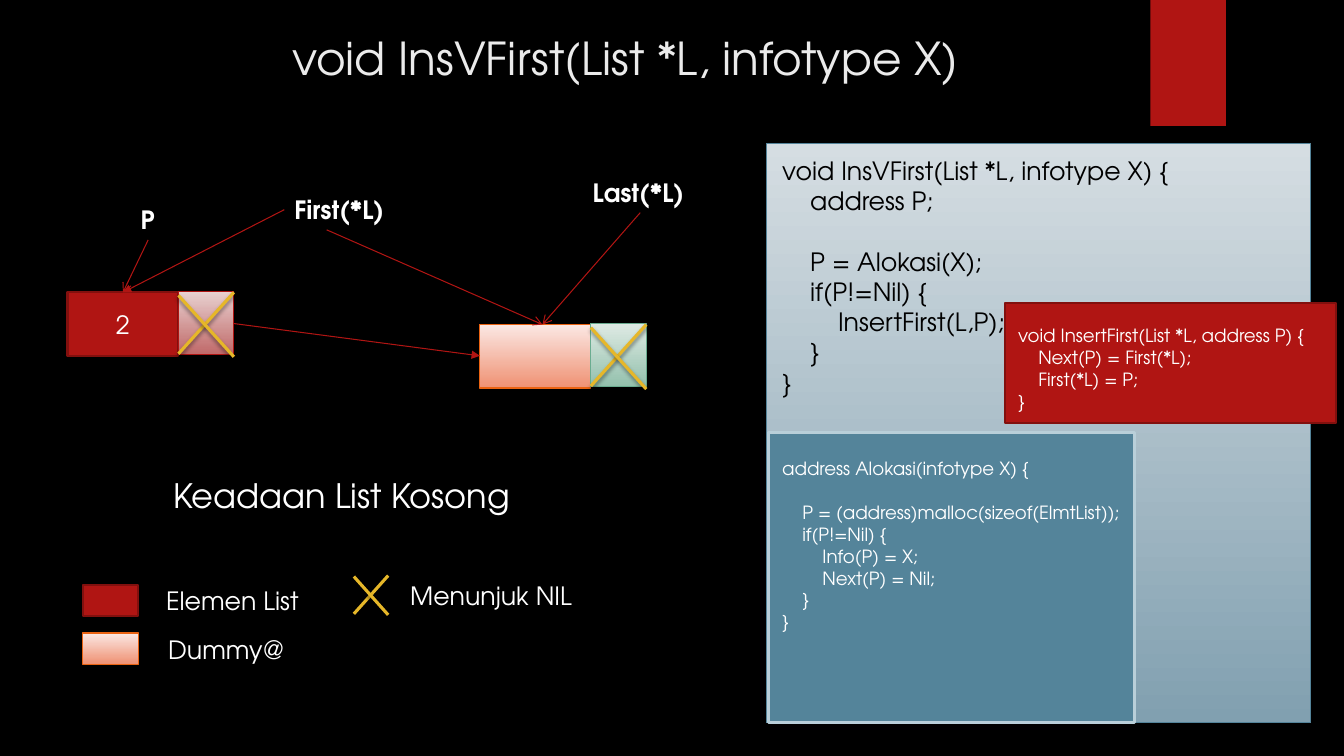
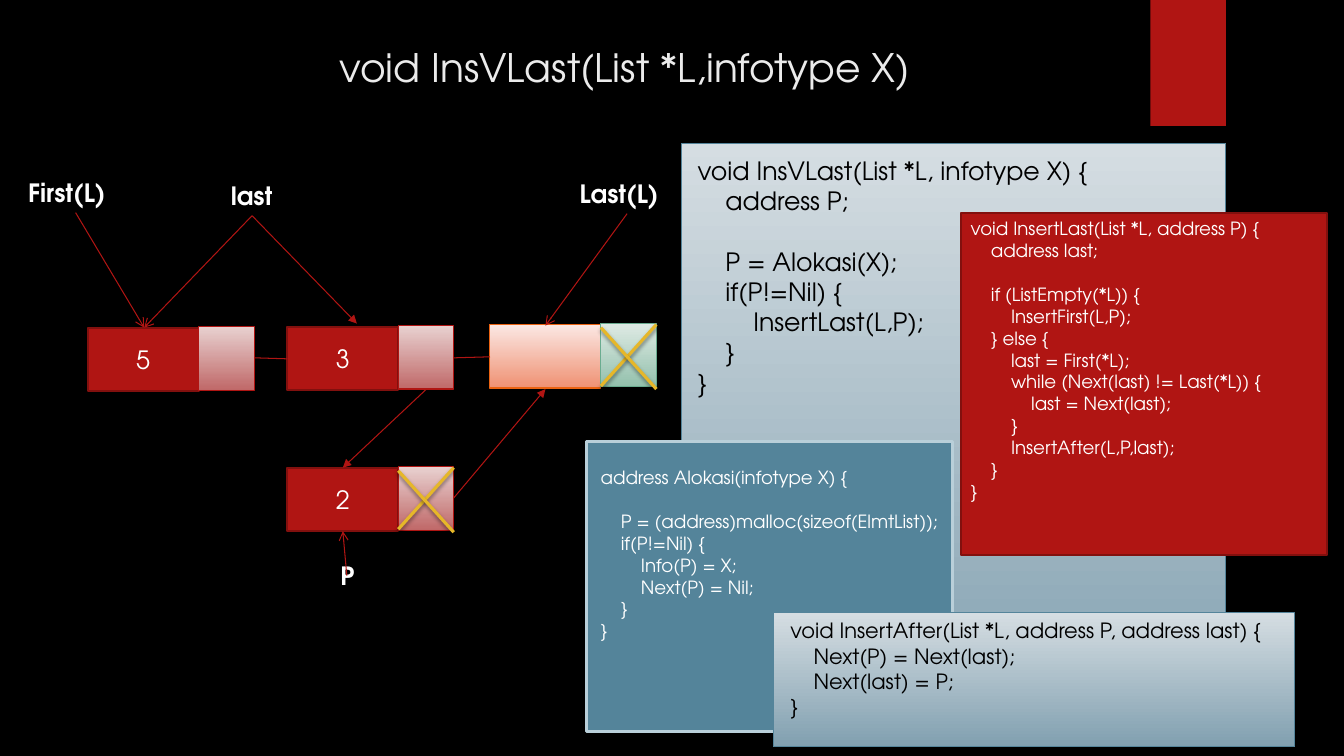
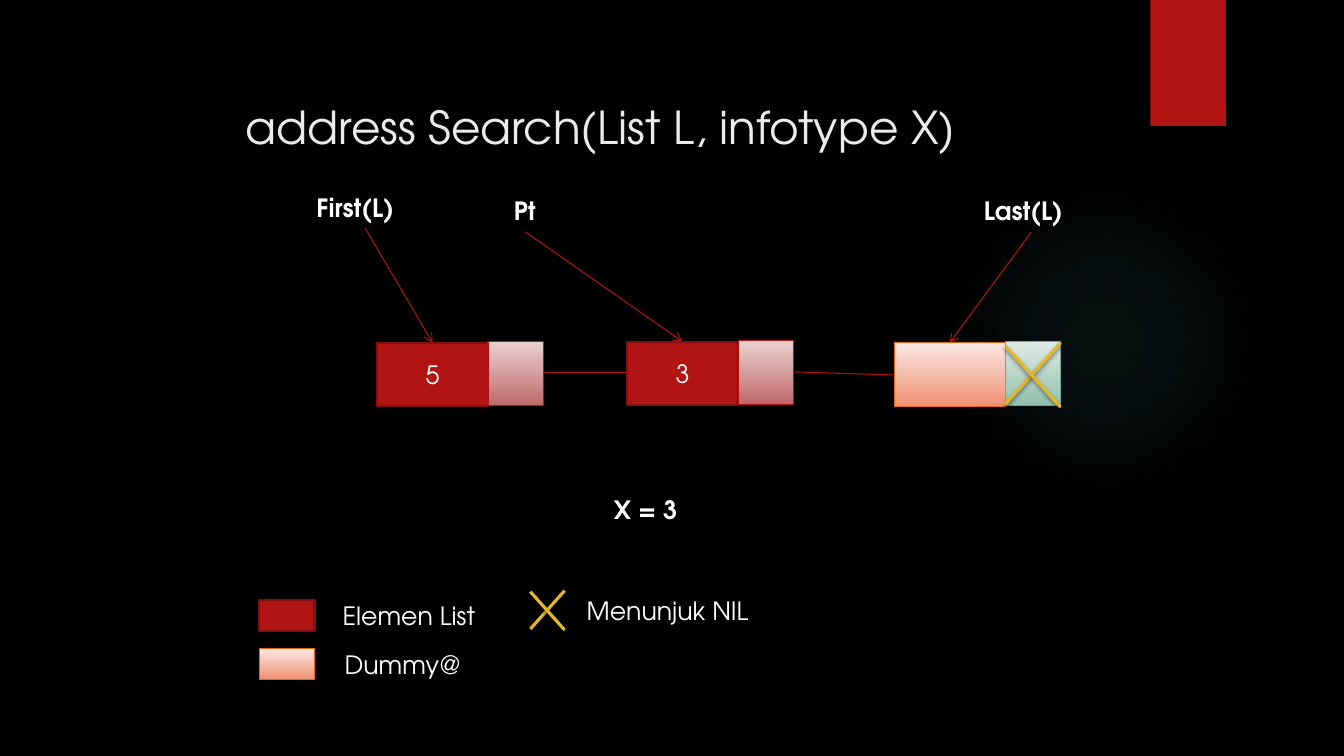
from lxml.etree import SubElement
from pptx import Presentation
from pptx.dml.color import RGBColor
from pptx.enum.shapes import MSO_CONNECTOR, MSO_SHAPE
from pptx.enum.text import MSO_ANCHOR, MSO_AUTO_SIZE, PP_ALIGN
from pptx.oxml import parse_xml
from pptx.oxml.ns import nsdecls, qn
from pptx.util import Emu, Pt

PX = 9144
FONT = "TeX Gyre Adventor"
WHITE, BLACK, TITLE, RED, GOLD = "FFFFFF", "000000", "EBEBEB", "B01513", "E6B729"

ELEMENT = dict(fill=[RED], line="82100E", weight=1.5)
POINTER = dict(fill=["E8D1D0", "C06969"], line=RED)
DUMMY = dict(fill=["FBE8E4", "EF9173"], line="EA6312")
DUMMY_POINTER = dict(fill=["DEEAE4", "93C0AC"], line="6AAC90")
PALE = dict(fill=["D5DDE2", "81A0B0"], line="54849A")
TEAL = dict(fill=["54849A"], line="B9CFD9", weight=2.25)

INSERT_VALUE = """void InsV{place}(List *L, infotype X) {{
    address P;

    P = Alokasi(X);
    if(P!=Nil) {{
        Insert{place}(L,P);
    }}
}}"""

ALLOCATE = """address Alokasi(infotype X) {

    P = (address)malloc(sizeof(ElmtList));
    if(P!=Nil) {
        Info(P) = X;
        Next(P) = Nil;
    }
}"""

INSERT_FIRST = """void InsertFirst(List *L, address P) {
    Next(P) = First(*L);
    First(*L) = P;
}"""

INSERT_LAST = """void InsertLast(List *L, address P) {
    address last;

    if (ListEmpty(*L)) {
        InsertFirst(L,P);
    } else {
        last = First(*L);
        while (Next(last) != Last(*L)) {
            last = Next(last);
        }
        InsertAfter(L,P,last);
    }
}"""

INSERT_AFTER = """void InsertAfter(List *L, address P, address last) {
    Next(P) = Next(last);
    Next(last) = P;
}"""


def px(*lengths):
    return [Emu(length * PX) for length in lengths]


def rgb(color):
    return RGBColor.from_string(color)


def write(frame, text, size=18, color=WHITE, bold=False, align=PP_ALIGN.LEFT,
          anchor=MSO_ANCHOR.TOP):
    frame.word_wrap = True
    frame.vertical_anchor = anchor
    paragraph, gap = frame.paragraphs[0], 0
    for index, line in enumerate(text.split("\n")):
        if not line:
            gap = size * 1.2
            continue
        if index:
            paragraph = frame.add_paragraph()
        paragraph.alignment = align
        if gap:
            paragraph.space_before = Pt(gap)
            gap = 0
        run = paragraph.add_run()
        run.text = line
        run.font.name = FONT
        run.font.size = Pt(size)
        run.font.bold = bold
        run.font.color.rgb = rgb(color)


def drop_shadow(effects):
    effects.append(parse_xml(
        f'<a:outerShdw {nsdecls("a")} blurRad="38100" dist="25400" dir="5400000" '
        'rotWithShape="0"><a:srgbClr val="000000"><a:alpha val="45000"/>'
        '</a:srgbClr></a:outerShdw>'))


class Deck:
    def __init__(self):
        self.presentation = Presentation()
        self.presentation.slide_width, self.presentation.slide_height = px(1333, 750)

    def start(self, title, left, top, width=768, size=32.4):
        self.slide = self.presentation.slides.add_slide(
            self.presentation.slide_layouts[6])
        backdrop = self.slide.background.fill
        backdrop.solid()
        backdrop.fore_color.rgb = rgb(BLACK)
        self.glow()
        band = self.box(1141, 0, 75, 125, fill=[RED])
        drop_shadow(band._element.spPr.find(qn("a:effectLst")))
        heading = self.slide.shapes.add_textbox(*px(left, top, width, 67))
        write(heading.text_frame, title, size=size, color=TITLE,
              anchor=MSO_ANCHOR.MIDDLE)

    def glow(self):
        halo = self.box(941, 183, 308, 308, kind=MSO_SHAPE.OVAL)
        stops = "".join(
            f'<a:gs pos="{place}000"><a:srgbClr val="50B9C1">'
            f'<a:alpha val="{alpha}000"/></a:srgbClr></a:gs>'
            for place, alpha in ((0, 7), (36, 6), (69, 0)))
        properties = halo._element.spPr
        properties.replace(properties.find(qn("a:noFill")), parse_xml(
            f'<a:gradFill {nsdecls("a")}><a:gsLst>{stops}</a:gsLst>'
            '<a:path path="circle"><a:fillToRect l="50000" t="50000" '
            'r="50000" b="50000"/></a:path></a:gradFill>'))

    def box(self, left, top, width, height, fill=(), line=None, weight=0.75,
            kind=MSO_SHAPE.RECTANGLE):
        shape = self.slide.shapes.add_shape(kind, *px(left, top, width, height))
        shape.shadow.inherit = False
        if len(fill) == 2:
            shape.fill.gradient()
            shape.fill.gradient_angle = 270
            for stop, color, place in zip(shape.fill.gradient_stops, fill, (0, 1)):
                stop.color.rgb = rgb(color)
                stop.position = place
        elif fill:
            shape.fill.solid()
            shape.fill.fore_color.rgb = rgb(fill[0])
        else:
            shape.fill.background()
        if line:
            shape.line.color.rgb = rgb(line)
            shape.line.width = Pt(weight)
        else:
            shape.line.fill.background()
        return shape

    def label(self, text, left, top, width, height=40, **style):
        area = self.slide.shapes.add_textbox(*px(left, top, width, height))
        write(area.text_frame, text, **style)
        area.text_frame.auto_size = MSO_AUTO_SIZE.SHAPE_TO_FIT_TEXT

    def name(self, text, left, top, width=115, align=PP_ALIGN.LEFT):
        self.label(text, left, top, width, bold=True, align=align)

    def stroke(self, *ends, color=RED, weight=0.75, head=None, shadow=False):
        connector = self.slide.shapes.add_connector(MSO_CONNECTOR.STRAIGHT, *px(*ends))
        connector.line.color.rgb = rgb(color)
        connector.line.width = Pt(weight)
        properties = connector._element.spPr
        if head:
            SubElement(properties.find(qn("a:ln")), qn("a:tailEnd"), type=head)
        effects = SubElement(properties, qn("a:effectLst"))
        if shadow:
            drop_shadow(effects)

    def arrow(self, *ends, head="arrow"):
        self.stroke(*ends, head=head)

    def cross(self, left, top, width, height, drop=3):
        for start, end in ((top + height, top), (top + drop, top + drop + height)):
            self.stroke(left, start, left + width, end, color=GOLD, weight=2.25,
                        shadow=True)

    def node(self, left, top, value=None, nil=False):
        cell = self.box(left, top, 110, 63, **(ELEMENT if value else DUMMY))
        if value:
            write(cell.text_frame, value, align=PP_ALIGN.CENTER,
                  anchor=MSO_ANCHOR.MIDDLE)
        self.box(left + 110, top - 1, 55, 63, **(POINTER if value else DUMMY_POINTER))
        if nil:
            self.cross(left + 110, top, 55, 61)

    def legend(self, left, top):
        self.box(left, top, 55, 31, **ELEMENT)
        self.label("Elemen List", left + 73, top - 4, 165)
        self.box(left, top + 48, 55, 31, **DUMMY)
        self.label("Dummy@", left + 75, top + 44, 165)
        self.cross(left + 269, top - 9, 34, 38, drop=1)
        self.label("Menunjuk NIL", left + 315, top - 9, 239)

    def code(self, text, panel, area, look, size=13, color=WHITE):
        self.box(*panel, **look)
        self.label(text, *area, size=size, color=color)

    def insert_value(self, place, left):
        self.code(INSERT_VALUE.format(place=place), (left, 142, 540, 575),
                  (left + 6, 149, 407, 252), PALE, size=18, color=BLACK)

    def allocate(self, left, top):
        self.code(ALLOCATE, (left, top, 363, 288),
                  (left + 4, top + 20, 384, 185), TEAL)


def insert_first_slide(deck):
    deck.start("void InsVFirst(List *L, infotype X)", 280, 23)
    deck.insert_value("First", 760)
    deck.allocate(762, 429)
    deck.code(INSERT_FIRST, (997, 301, 328, 119), (1000, 317, 317, 98), ELEMENT)
    deck.label("Keadaan List Kosong", 162, 466, 383, 50, size=24)
    deck.legend(82, 580)
    deck.node(476, 322, nil=True)
    deck.node(67, 290, "2", nil=True)
    deck.name("Last(*L)", 578, 171)
    deck.name("First(*L)", 282, 188)
    deck.name("P", 89, 198, align=PP_ALIGN.CENTER)
    deck.arrow(324, 228, 538, 322)
    deck.arrow(635, 211, 538, 322)
    deck.arrow(147, 238, 122, 290)
    deck.arrow(232, 321, 476, 353, head="triangle")
    deck.arrow(282, 208, 122, 290, head="triangle")


def insert_last_slide(deck):
    deck.start("void InsVLast(List *L,infotype X)", 327, 33, width=866, size=28)
    deck.node(87, 325, "5")
    deck.node(285, 324, "3")
    deck.node(486, 322, nil=True)
    deck.node(285, 464, "2", nil=True)
    deck.name("First(L)", 18, 171)
    deck.name("last", 205, 174, 89, align=PP_ALIGN.CENTER)
    deck.name("Last(L)", 565, 172)
    deck.name("P", 287, 551, align=PP_ALIGN.CENTER)
    deck.stroke(253, 355, 285, 356)
    deck.stroke(450, 355, 486, 354)
    deck.arrow(75, 211, 143, 325)
    deck.arrow(622, 212, 541, 323)
    deck.arrow(250, 214, 143, 325)
    deck.arrow(344, 571, 340, 527)
    deck.arrow(250, 214, 354, 321, head="triangle")
    deck.arrow(450, 494, 541, 386, head="triangle")
    deck.arrow(423, 386, 340, 464, head="triangle")
    deck.insert_value("Last", 676)
    deck.allocate(582, 438)
    deck.code(INSERT_LAST, (953, 211, 363, 340), (953, 211, 356, 295), ELEMENT)
    deck.code(INSERT_AFTER, (767, 608, 517, 133), (774, 608, 495, 111), PALE,
              size=15, color=BLACK)


def search_slide(deck):
    deck.start("address Search(List L, infotype X)", 234, 92)
    deck.node(374, 340, "5")
    deck.node(622, 339, "3")
    deck.node(887, 340, nil=True)
    deck.name("First(L)", 304, 186)
    deck.name("Pt", 484, 189, 73, align=PP_ALIGN.CENTER)
    deck.name("Last(L)", 966, 189)
    deck.name("X = 3", 599, 485, 156)
    deck.stroke(540, 370, 622, 370)
    deck.stroke(788, 369, 887, 372)
    deck.arrow(362, 226, 429, 340)
    deck.arrow(521, 230, 677, 339)
    deck.arrow(1023, 230, 942, 340)
    deck.legend(257, 595)


def main():
    deck = Deck()
    insert_first_slide(deck)
    insert_last_slide(deck)
    search_slide(deck)
    deck.presentation.save("out.pptx")


if __name__ == "__main__":
    main()
